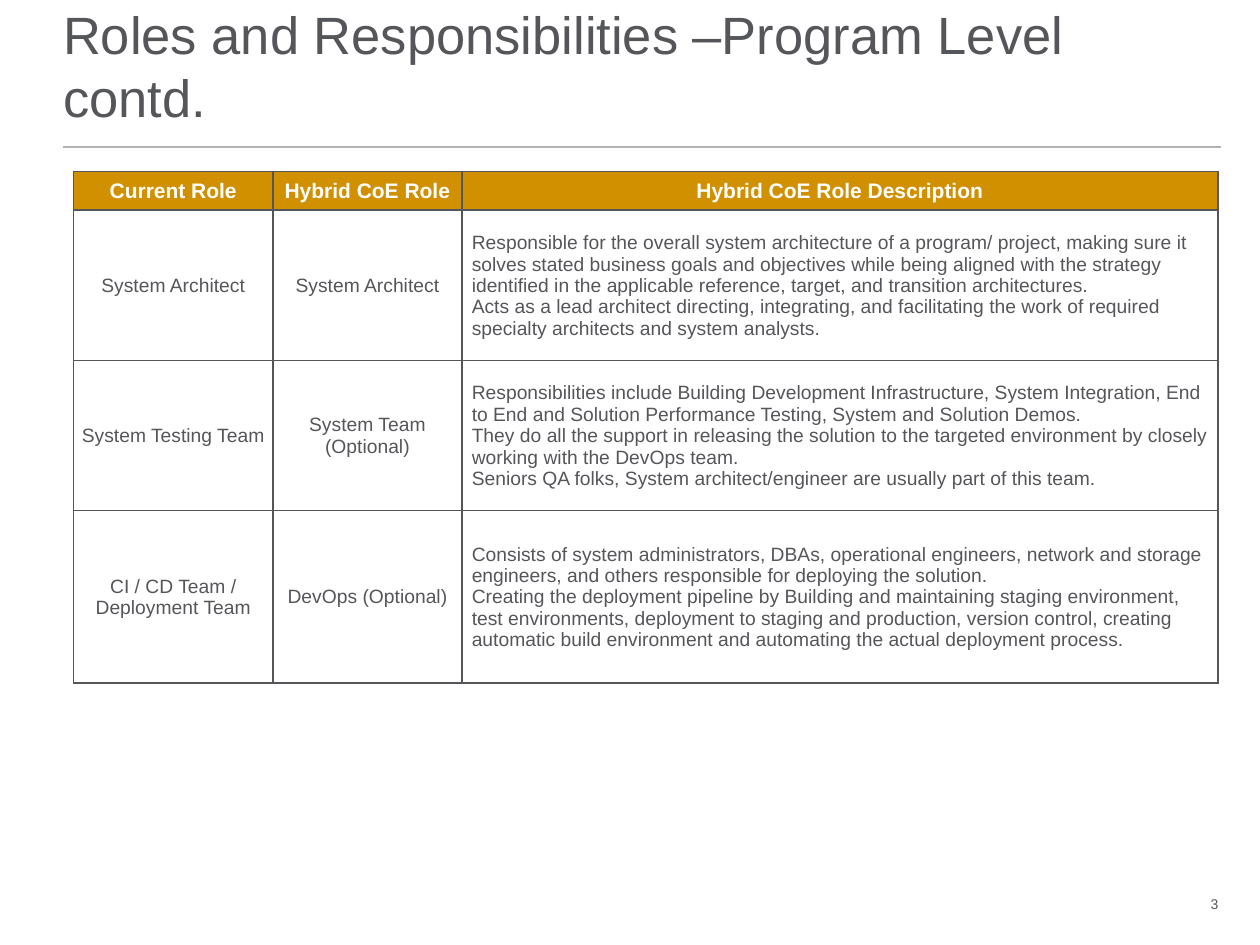
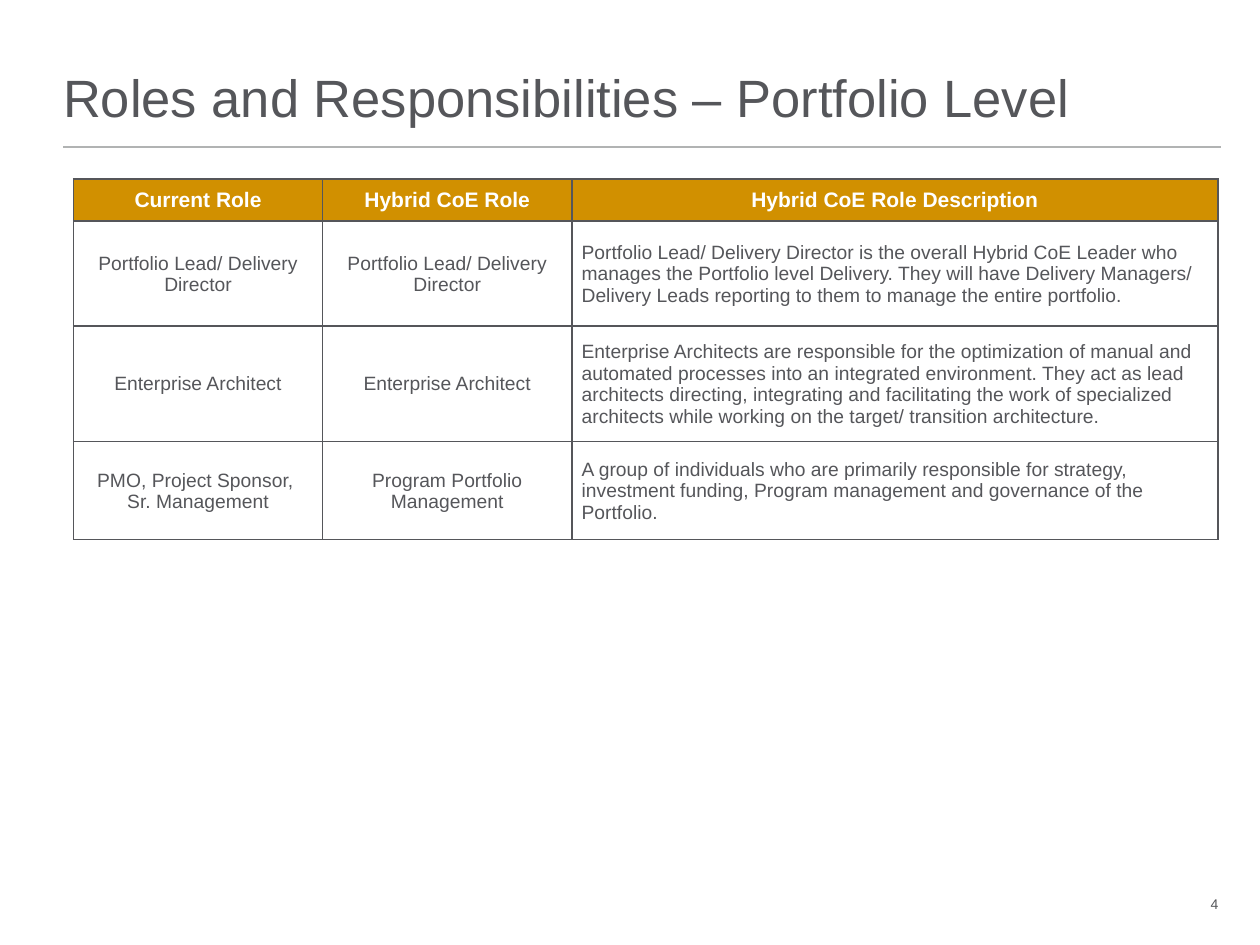
"""Build the two Roles and Responsibilities slides."""
from dataclasses import dataclass

from lxml.etree import SubElement
from pptx import Presentation
from pptx.dml.color import RGBColor
from pptx.enum.shapes import MSO_CONNECTOR
from pptx.enum.text import MSO_ANCHOR, MSO_AUTO_SIZE, PP_ALIGN
from pptx.oxml.ns import qn
from pptx.presentation import Presentation as Deck
from pptx.slide import Slide
from pptx.table import _Cell as Cell
from pptx.text.text import TextFrame, _Paragraph as Paragraph
from pptx.util import Pt


@dataclass(frozen=True)
class Theme:
    """Colours, font and type sizes."""
    text: str = "55565A"
    rule: str = "B1B3B3"
    header_fill: str = "D19000"
    header_text: str = "FFFFFF"
    font: str = "Arial"
    title_size: float = 30
    title_leading: float = 36
    header_size: float = 12
    body_size: float = 11
    number_size: float = 8


@dataclass(frozen=True)
class Role:
    """One table row; line breaks separate paragraphs."""
    current: str
    hybrid: str
    description: str
    height: float


@dataclass(frozen=True)
class RolePage:
    """The content and table geometry of one slide."""
    number: int
    title: str
    top: float
    widths: tuple[float, ...]
    header_height: float
    roles: tuple[Role, ...]


THEME = Theme()
LEFT = 36
TABLE_LEFT = 42
INSET = 0.7
INDENT = 4.9
HEADINGS = ("Current Role", "Hybrid CoE Role", "Hybrid CoE Role Description")

PAGES = (
    RolePage(3, "Roles and Responsibilities –Program Level contd.", 97.9, (114, 108, 432), 22.2, (
        Role("System Architect", "System Architect",
             "Responsible for the overall system architecture of a program/ project, making sure it "
             "solves stated business goals and objectives while being aligned with the strategy "
             "identified in the applicable reference, target, and transition architectures.\n"
             "Acts as a lead architect directing, integrating, and facilitating the work of required "
             "specialty architects and system analysts.", 85.8),
        Role("System Testing Team", "System Team (Optional)",
             "Responsibilities include Building Development Infrastructure, System Integration, End "
             "to End and Solution Performance Testing, System and Solution Demos.\n"
             "They do all the support in releasing the solution to the targeted environment by closely "
             "working with the DevOps team.\n"
             "Seniors QA folks, System architect/engineer are usually part of this team.", 85.8),
        Role("CI / CD Team / Deployment Team", "DevOps (Optional)",
             "Consists of system administrators, DBAs, operational engineers, network and storage "
             "engineers, and others responsible for deploying the solution.\n"
             "Creating the deployment pipeline by Building and maintaining staging environment, test "
             "environments, deployment to staging and production, version control, creating "
             "automatic build environment and automating the actual deployment process.", 98.6),
    )),
    RolePage(4, "Roles and Responsibilities – Portfolio Level", 102.2, (142.4, 142.4, 369.2), 24.2, (
        Role("Portfolio Lead/ Delivery Director", "Portfolio Lead/ Delivery Director",
             "Portfolio Lead/ Delivery Director is the overall Hybrid CoE Leader who "
             "manages the Portfolio level Delivery. They will have Delivery Managers/ "
             "Delivery Leads reporting to them to manage the entire portfolio.", 59.8),
        Role("Enterprise Architect", "Enterprise Architect",
             "Enterprise Architects are responsible for the optimization of manual and "
             "automated processes into an integrated environment. They act as lead "
             "architects directing, integrating and facilitating the work of specialized "
             "architects while working on the target/ transition architecture.", 66.2),
        Role("PMO, Project Sponsor, \nSr. Management", "Program Portfolio Management",
             "A group of individuals who are primarily responsible for strategy, "
             "investment funding, Program management and governance of the Portfolio.", 56),
    )),
)


def style(p: Paragraph, size: float, color: str, align: PP_ALIGN, bold: bool = False) -> None:
    """Set the font and alignment of a paragraph."""
    p.alignment = align
    p.font.name = THEME.font
    p.font.size = Pt(size)
    p.font.bold = bold
    p.font.color.rgb = RGBColor.from_string(color)


def clear_margins(tf: TextFrame) -> None:
    """Remove the inner margins of a text frame."""
    tf.margin_left = tf.margin_right = tf.margin_top = tf.margin_bottom = 0


def add_title(s: Slide, text: str) -> None:
    """Place and format the title."""
    sp = s.shapes.title
    sp.left, sp.top, sp.width, sp.height = Pt(LEFT), Pt(24), Pt(661), Pt(49)
    tf = sp.text_frame
    tf.text = text
    clear_margins(tf)
    tf.word_wrap = True
    tf.auto_size = MSO_AUTO_SIZE.NONE
    tf.vertical_anchor = MSO_ANCHOR.BOTTOM
    p = tf.paragraphs[0]
    style(p, THEME.title_size, THEME.text, PP_ALIGN.LEFT)
    p.line_spacing = Pt(THEME.title_leading)


def add_rule(s: Slide) -> None:
    """Draw the line under the title."""
    line = s.shapes.add_connector(MSO_CONNECTOR.STRAIGHT, Pt(LEFT), Pt(84), Pt(697.5), Pt(84))
    line.line.color.rgb = RGBColor.from_string(THEME.rule)
    line.line.width = Pt(1)
    SubElement(line._element.spPr, qn("a:effectLst"))


def add_number(s: Slide, number: int) -> None:
    """Write the slide number."""
    tf = s.shapes.add_textbox(Pt(666), Pt(507), Pt(30.3), Pt(19.4)).text_frame
    clear_margins(tf)
    tf.word_wrap = False
    tf.vertical_anchor = MSO_ANCHOR.MIDDLE
    tf.text = str(number)
    style(tf.paragraphs[0], THEME.number_size, THEME.text, PP_ALIGN.RIGHT)


def add_borders(cell: Cell) -> None:
    """Give a cell a solid line on all four sides."""
    tc_pr = cell._tc.get_or_add_tcPr()
    for side in ("lnL", "lnR", "lnT", "lnB"):
        ln = SubElement(tc_pr, qn(f"a:{side}"), w=str(Pt(1)))
        SubElement(SubElement(ln, qn("a:solidFill")), qn("a:srgbClr"), val=THEME.text)


def fill_cell(cell: Cell, text: str, header: bool, centred: bool) -> None:
    """Write and format one table cell."""
    add_borders(cell)
    if header:
        cell.fill.solid()
        cell.fill.fore_color.rgb = RGBColor.from_string(THEME.header_fill)
    else:
        cell.fill.background()
    cell.margin_left = cell.margin_right = cell.margin_top = Pt(INSET)
    cell.margin_bottom = 0
    cell.vertical_anchor = MSO_ANCHOR.MIDDLE
    cell.text_frame.text = text
    size = THEME.header_size if header else THEME.body_size
    color = THEME.header_text if header else THEME.text
    for p in cell.text_frame.paragraphs:
        style(p, size, color, PP_ALIGN.CENTER if centred else PP_ALIGN.LEFT, header)
        if not centred:
            p._p.get_or_add_pPr().set("marL", str(Pt(INDENT)))


def add_roles(s: Slide, page: RolePage) -> None:
    """Build the table of roles."""
    rows = [HEADINGS] + [(r.current, r.hybrid, r.description) for r in page.roles]
    heights = [page.header_height] + [r.height for r in page.roles]
    table = s.shapes.add_table(len(rows), len(HEADINGS), Pt(TABLE_LEFT), Pt(page.top),
                               Pt(sum(page.widths)), Pt(sum(heights))).table
    table.horz_banding = False
    for column, width in zip(table.columns, page.widths):
        column.width = Pt(width)
    for i, (texts, height) in enumerate(zip(rows, heights)):
        table.rows[i].height = Pt(height)
        for j, text in enumerate(texts):
            fill_cell(table.cell(i, j), text, i == 0, i == 0 or j < 2)


def add_page(prs: Deck, page: RolePage) -> None:
    """Add one complete slide."""
    s = prs.slides.add_slide(prs.slide_layouts.get_by_name("Title Only"))
    add_rule(s)
    add_title(s, page.title)
    add_number(s, page.number)
    add_roles(s, page)


def main() -> None:
    """Create and save the presentation."""
    prs = Presentation()
    prs.slide_width, prs.slide_height = Pt(720), Pt(540)
    for page in PAGES:
        add_page(prs, page)
    prs.save("out.pptx")


if __name__ == "__main__":
    main()
